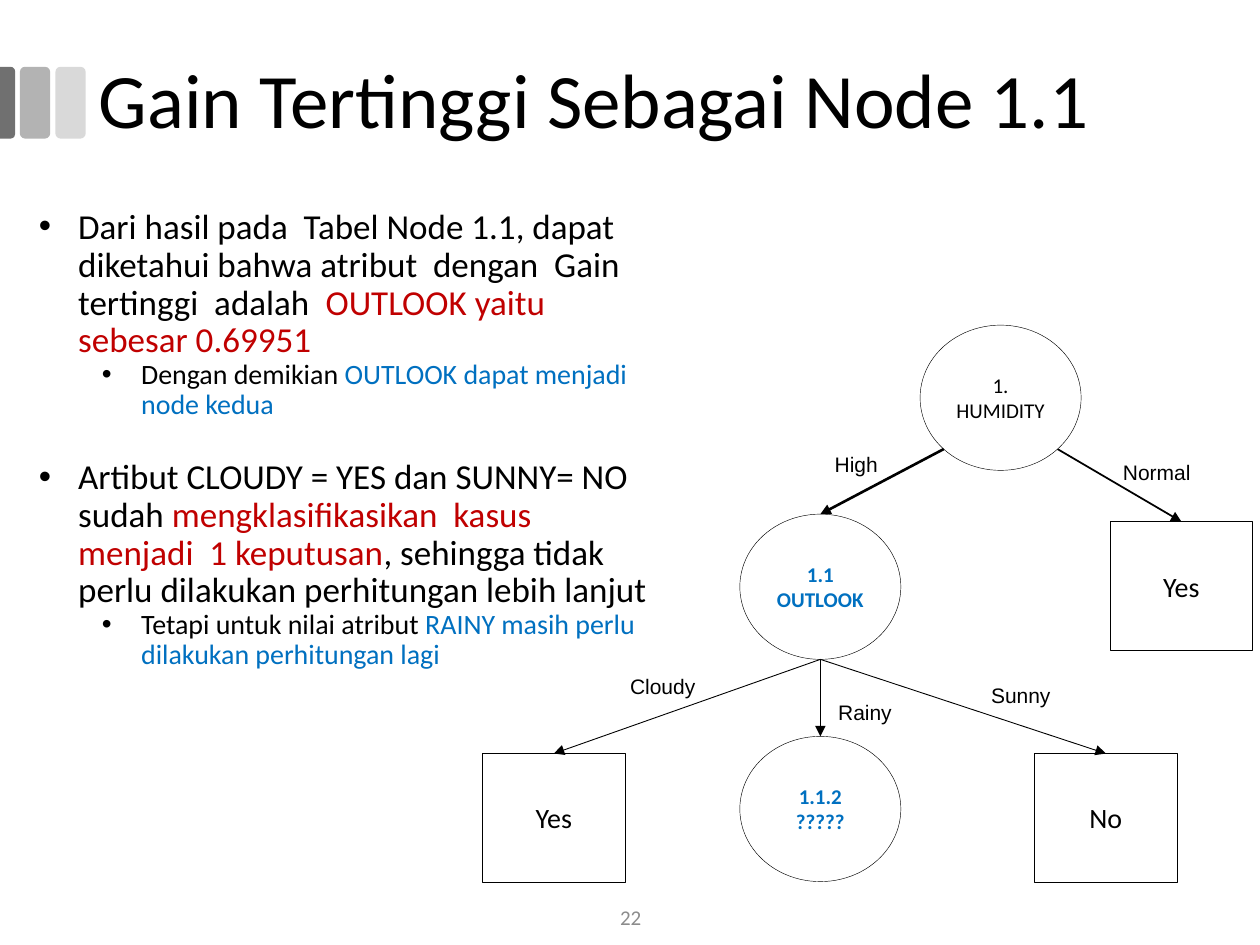
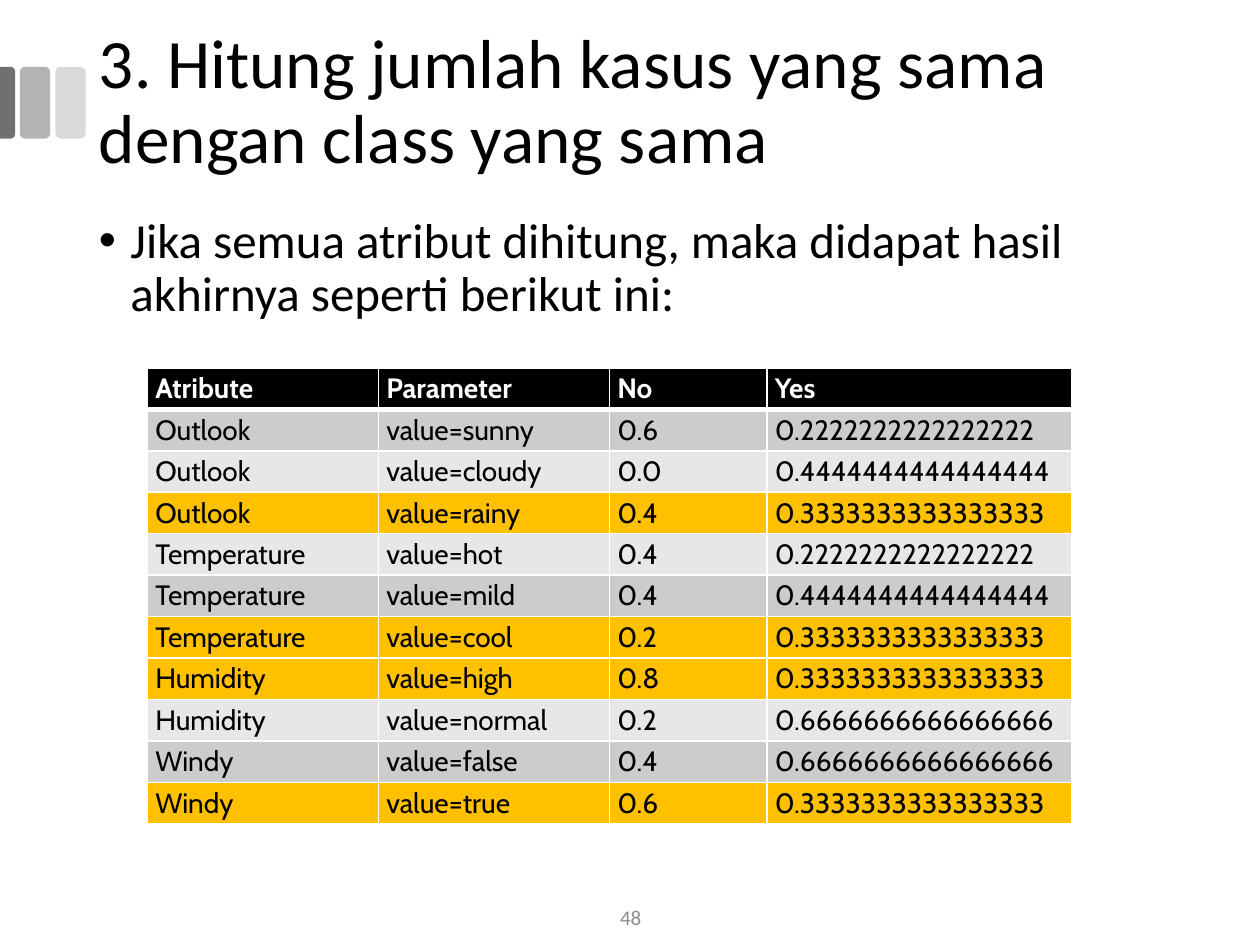
from math import sqrt
from lxml.etree import SubElement
from pptx import Presentation
from pptx.dml.color import RGBColor
from pptx.enum.shapes import MSO_CONNECTOR as Connector, MSO_SHAPE as Shape
from pptx.enum.text import MSO_ANCHOR as Anchor, PP_ALIGN as Align
from pptx.oxml.ns import qn
from pptx.util import Pt

COLORS = {
    "black": "000000", "white": "FFFFFF", "red": "C00000", "blue": "0070C0",
    "number": "8C8C8C", "tab_dark": "707070", "tab_mid": "B3B3B3", "tab_light": "D9D9D9",
    "odd_row": "CCCCCC", "even_row": "E7E7E7", "highlight": "FFC000",
}
CIRCLE = (92, 83)
SQUARE = (81.4, 73.4)

GAIN_POINTS = [
    (0, 0, [("Dari hasil pada  Tabel Node 1.1, dapat diketahui bahwa atribut  dengan  Gain  "
             "tertinggi  adalah  ", "black"), ("OUTLOOK yaitu sebesar 0.69951", "red")]),
    (1, 0, [("Dengan demikian ", "black"), ("OUTLOOK dapat menjadi node kedua", "blue")]),
    (0, 22, [("Artibut CLOUDY = YES dan SUNNY= NO sudah ", "black"),
             ("mengklasifikasikan  kasus  menjadi  1 keputusan", "red"),
             (", sehingga tidak perlu dilakukan perhitungan lebih lanjut", "black")]),
    (1, 0, [("Tetapi untuk nilai atribut ", "black"),
            ("RAINY masih perlu dilakukan perhitungan lagi", "blue")]),
]
RESULT_POINTS = [
    (0, 10, [("Jika semua atribut dihitung, maka didapat hasil akhirnya seperti berikut ini:",
              "black")]),
]
HIGHLIGHTED_YES = "0.3333333333333333"
PROBABILITIES = [
    ("Atribute", "Parameter", "No", "Yes"),
    ("Outlook", "value=sunny", "0.6", "0.2222222222222222"),
    ("Outlook", "value=cloudy", "0.0", "0.4444444444444444"),
    ("Outlook", "value=rainy", "0.4", HIGHLIGHTED_YES),
    ("Temperature", "value=hot", "0.4", "0.2222222222222222"),
    ("Temperature", "value=mild", "0.4", "0.4444444444444444"),
    ("Temperature", "value=cool", "0.2", HIGHLIGHTED_YES),
    ("Humidity", "value=high", "0.8", HIGHLIGHTED_YES),
    ("Humidity", "value=normal", "0.2", "0.6666666666666666"),
    ("Windy", "value=false", "0.4", "0.6666666666666666"),
    ("Windy", "value=true", "0.6", HIGHLIGHTED_YES),
]


def rgb(name):
    return RGBColor.from_string(COLORS[name])


def set_font(paragraph, size, color=None, face="Calibri", bold=False):
    font = paragraph.font
    font.size, font.name, font.bold = Pt(size), face, bold
    if color:
        font.color.rgb = rgb(color)


def write_lines(frame, lines, size, color="black", face="Calibri", bold=False,
                align=Align.CENTER):
    for index, line in enumerate(lines):
        paragraph = frame.add_paragraph() if index else frame.paragraphs[0]
        paragraph.text = line
        paragraph.alignment = align
        set_font(paragraph, size, color, face, bold)


def add_text(slide, box, wrap=True, anchor=Anchor.TOP):
    frame = slide.shapes.add_textbox(*map(Pt, box)).text_frame
    frame.word_wrap = wrap
    frame.vertical_anchor = anchor
    return frame


def add_plain_shape(slide, kind, box, fill=None):
    shape = slide.shapes.add_shape(kind, *map(Pt, box))
    shape.shadow.inherit = False
    if fill:
        shape.fill.solid()
        shape.fill.fore_color.rgb = rgb(fill)
        shape.line.fill.background()
    else:
        shape.fill.background()
        shape.line.color.rgb = rgb("black")
        shape.line.width = Pt(0.25)
    return shape


def add_side_tabs(slide, box):
    left, top, width, height = box
    tab_width, pitch, edge_width = 17.3, 20.3, 8.6
    for index, fill in enumerate(("tab_light", "tab_mid")):
        tab_left = left + width - tab_width - index * pitch
        add_plain_shape(slide, Shape.ROUNDED_RECTANGLE, (tab_left, top, tab_width, height), fill)
    edge_box = (left + (edge_width - height) / 2, top + (height - edge_width) / 2,
                height, edge_width)
    edge = add_plain_shape(slide, Shape.ROUND_2_SAME_RECTANGLE, edge_box, "tab_dark")
    edge.adjustments[0] = 0.29
    edge.rotation = 90


def start_slide(deck, title, title_size, number):
    slide = deck.slides.add_slide(deck.slide_layouts[6])
    add_side_tabs(slide, (0, 38.2, 49, 41))
    heading = add_text(slide, (49.5, 12.2, 621, 94.4), anchor=Anchor.MIDDLE)
    write_lines(heading, [title], title_size, align=Align.LEFT)
    heading.paragraphs[0].line_spacing = 0.9
    footer = add_text(slide, (279.4, 509.8, 162, 28.8), anchor=Anchor.MIDDLE)
    write_lines(footer, [str(number)], 12, "number")
    return slide


def add_bullets(slide, box, points, sizes, indents, hanging):
    frame = add_text(slide, box)
    for index, (level, gap, runs) in enumerate(points):
        paragraph = frame.add_paragraph() if index else frame.paragraphs[0]
        paragraph.level = level
        paragraph.line_spacing = 0.9
        paragraph.space_before = Pt(gap)
        set_font(paragraph, sizes[level])
        for words, color in runs:
            run = paragraph.add_run()
            run.text = words
            run.font.color.rgb = rgb(color)
        properties = paragraph._p.get_or_add_pPr()
        properties.set("marL", str(Pt(indents[level])))
        properties.set("indent", str(Pt(-hanging)))
        bullet_font = properties.makeelement(qn("a:buFont"), {"typeface": "Arial"})
        bullet = properties.makeelement(qn("a:buChar"), {"char": "•"})
        properties.find(qn("a:defRPr")).addprevious(bullet_font)
        bullet_font.addnext(bullet)


def add_branch(slide, start, child, weight):
    branch = slide.shapes.add_connector(
        Connector.STRAIGHT, *start, child.left + child.width // 2, child.top)
    branch.end_connect(child, 0)
    branch.line.color.rgb = rgb("black")
    branch.line.width = Pt(weight)
    SubElement(branch.line._get_or_add_ln(), qn("a:tailEnd"), type="triangle")
    SubElement(branch._element.spPr, qn("a:effectLst"))


def ellipse_point(node, across, down):
    return (int(node.left + node.width * (1 + across) / 2),
            int(node.top + node.height * (1 + down) / 2))


def add_decision_tree(slide, origin):
    left, top = origin

    def add_node(x, y, lines, kind=Shape.OVAL, size=12, color="black"):
        extent = CIRCLE if kind == Shape.OVAL else SQUARE
        node = add_plain_shape(slide, kind, (left + x, top + y, *extent))
        frame = node.text_frame
        frame.word_wrap = True
        frame.vertical_anchor = Anchor.MIDDLE
        frame.margin_left = frame.margin_right = Pt(3.6)
        write_lines(frame, lines, size, color, bold=color == "blue")
        return node

    def add_leaf(x, y, decision):
        return add_node(x, y, [decision], Shape.RECTANGLE, 16)

    humidity = add_node(250, 0, ["1. HUMIDITY"])
    outlook = add_node(147, 108, ["1.1", "OUTLOOK"], color="blue")
    normal_yes = add_leaf(358.6, 112.3, "Yes")
    cloudy_yes = add_leaf(0, 244.8, "Yes")
    sunny_no = add_leaf(315.4, 244.8, "No")
    rainy = add_node(147, 235, ["1.1.2", "?????"], color="blue")

    diagonal = 1 / sqrt(2)
    add_branch(slide, ellipse_point(humidity, -diagonal, diagonal), outlook, 1.5)
    add_branch(slide, ellipse_point(humidity, diagonal, diagonal), normal_yes, 1)
    for child in (cloudy_yes, rainy, sunny_no):
        add_branch(slide, ellipse_point(outlook, 0, 1), child, 0.5)

    for value, x, y, width in (
        ("High", 193.7, 68.4, 39.6), ("Normal", 358.6, 73.4, 53.3),
        ("Cloudy", 77, 195.8, 51.8), ("Rainy", 195.8, 210.2, 45.4),
        ("Sunny", 283, 200.9, 49),
    ):
        label = add_text(slide, (left + x, top + y, width, 21.6), wrap=False)
        write_lines(label, [value], 12, face="Arial")


def set_border(cell, side, width):
    line = SubElement(cell._tc.get_or_add_tcPr(), qn(f"a:ln{side}"), w=str(Pt(width)))
    fill = SubElement(line, qn("a:solidFill"))
    SubElement(fill, qn("a:srgbClr"), val=COLORS["white"])


def row_color(index, yes):
    if index == 0:
        return "black"
    if yes == HIGHLIGHTED_YES:
        return "highlight"
    return "odd_row" if index % 2 else "even_row"


def add_probability_table(slide, box):
    table = slide.shapes.add_table(
        len(PROBABILITIES), len(PROBABILITIES[0]), *map(Pt, box)).table
    table.first_row = table.horz_banding = False
    for column, width in zip(table.columns, (132, 132, 90, 174)):
        column.width = Pt(width)
    for index, values in enumerate(PROBABILITIES):
        table.rows[index].height = Pt(box[3] / len(PROBABILITIES))
        header = index == 0
        for cell, value in zip(table.rows[index].cells, values):
            cell.margin_left = cell.margin_right = Pt(4.5)
            cell.margin_top = cell.margin_bottom = Pt(2.25)
            cell.vertical_anchor = Anchor.MIDDLE
            for side in "LRTB":
                under_header = (index, side) in ((0, "B"), (1, "T"))
                set_border(cell, side, 3 if under_header else 1)
            cell.fill.solid()
            cell.fill.fore_color.rgb = rgb(row_color(index, values[-1]))
            write_lines(cell.text_frame, [value], 16, "white" if header else "black",
                        "Cabin", header, Align.LEFT)


def build_gain_slide(deck):
    slide = start_slide(deck, "Gain Tertinggi Sebagai Node 1.1", 44, 22)
    add_bullets(slide, (15.1, 116, 363, 366), GAIN_POINTS, (20, 16), (22.5, 58.5), 22.5)
    add_decision_tree(slide, (275.8, 185.8))


def build_result_slide(deck):
    slide = start_slide(
        deck, "3. Hitung jumlah kasus yang sama dengan class yang sama", 39.6, 48)
    add_bullets(slide, (49.5, 120, 621, 366), RESULT_POINTS, (28,), (18,), 18)
    add_probability_table(slide, (84.3, 210.2, 528, 258))


def main():
    deck = Presentation()
    deck.slide_width, deck.slide_height = Pt(720), Pt(540)
    build_gain_slide(deck)
    build_result_slide(deck)
    deck.save("out.pptx")


if __name__ == "__main__":
    main()
